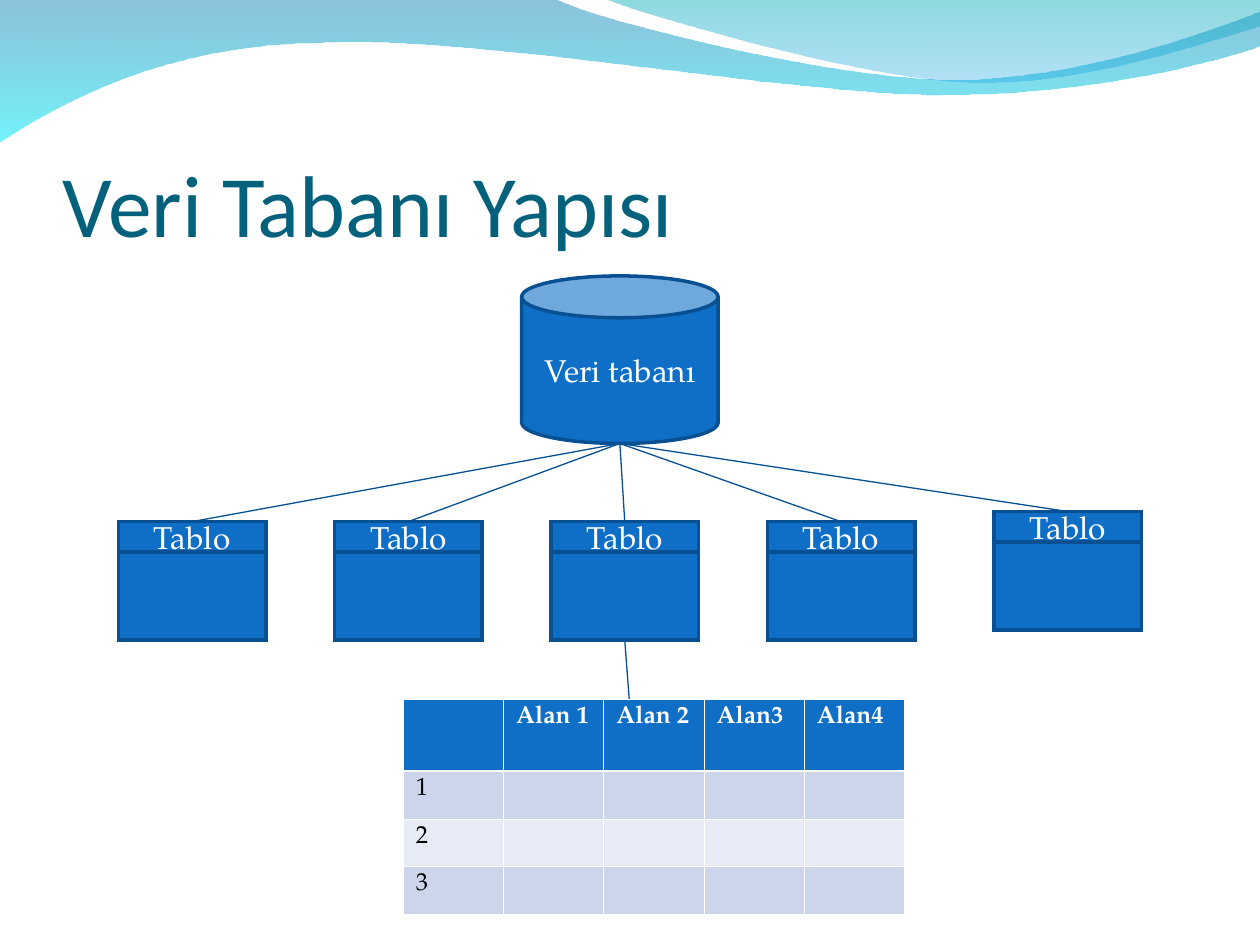
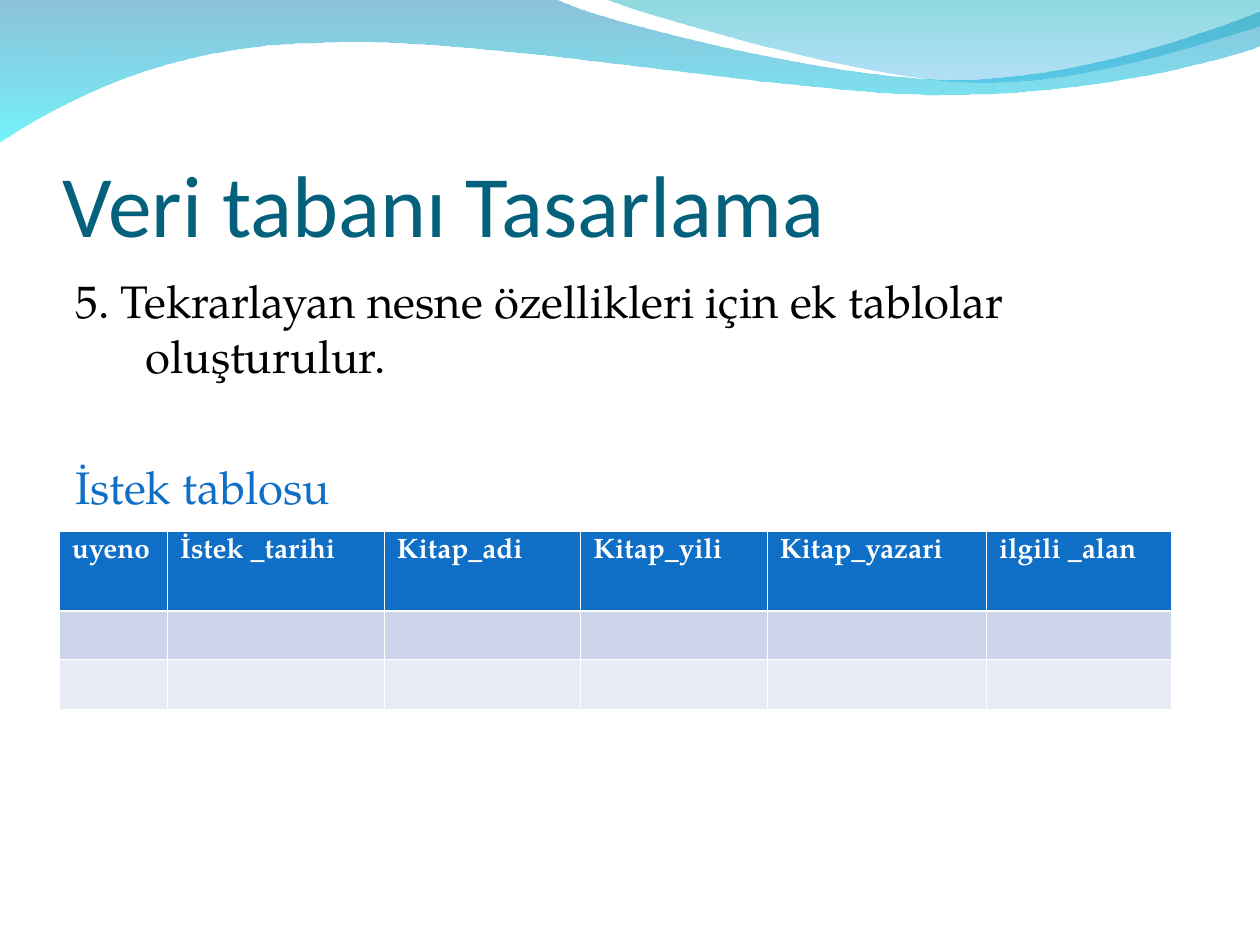
"""Build two slides on database structure and database design."""
from dataclasses import dataclass
from typing import Any

from lxml import etree
from pptx import Presentation
from pptx.dml.color import RGBColor
from pptx.enum.shapes import MSO_CONNECTOR, MSO_SHAPE
from pptx.enum.text import MSO_ANCHOR, PP_ALIGN
from pptx.oxml.ns import qn
from pptx.util import Inches, Pt

CAN = MSO_SHAPE.CAN
PROCESS = MSO_SHAPE.FLOWCHART_PROCESS
STRAIGHT = MSO_CONNECTOR.STRAIGHT
MIDDLE = MSO_ANCHOR.MIDDLE
BOTTOM = MSO_ANCHOR.BOTTOM
CENTER = PP_ALIGN.CENTER

COLORS = {
    "title": "04617B",
    "blue": "0F6FC6",
    "outline": "085091",
    "link": "065093",
    "white": "FFFFFF",
    "black": "000000",
    "band_dark": "CCD5EA",
    "band_light": "E7EBF5",
    "wave_top": "0079AF",
    "wave_bottom": "00EBF8",
    "crest_top": "00ADB6",
    "crest_bottom": "009BE5",
}
SERIF = "TeX Gyre Pagella"
TITLE_FONT = {"name": "Calibri", "size": Pt(50)}
BODY_FONT = {"name": SERIF, "size": Pt(26)}
SHAPE_FONT = {"name": SERIF, "size": Pt(18)}
TITLE_FRAME = {"word_wrap": True, "vertical_anchor": BOTTOM, "margin_left": 0,
               "margin_top": Inches(0.05), "margin_right": 0, "margin_bottom": 0}
THIN, THICK = 0.45, 1.47

Point = tuple[float, float]


@dataclass(frozen=True)
class Place:
    left: float
    top: float
    width: float
    height: float

    def lengths(self) -> list[int]:
        return [Inches(value) for value in (self.left, self.top, self.width, self.height)]

    @property
    def middle(self) -> float:
        return self.left + self.width / 2

    @property
    def bottom(self) -> float:
        return self.top + self.height


@dataclass(frozen=True)
class Wave:
    segments: list[list[Point]]
    stops: list[tuple[str, int]]


@dataclass(frozen=True)
class Grid:
    left: float
    top: float
    columns: list[float]
    rows: list[float]
    cells: list[list[str]]
    size: int


WAVES = [
    Wave([[(0, -0.01)], [(4.4, -0.01)],
          [(4.76, 0.17), (6.64, 0.63), (7.58, 0.63)],
          [(8.53, 0.63), (9.58, 0.26), (10, 0.09)],
          [(10.01, 0.36)],
          [(9.83, 0.44), (8.7, 0.76), (7.46, 0.75)],
          [(6.22, 0.75), (3.82, 0.28), (2.57, 0.34)],
          [(1.29, 0.35), (0.46, 0.83), (-0.01, 1.13)]],
         [("wave_top", 45), ("wave_bottom", 55)]),
    Wave([[(4.79, -0.01)],
          [(5.09, 0.11), (6.82, 0.62), (7.69, 0.65)],
          [(8.56, 0.69), (9.61, 0.32), (10, 0.21)],
          [(10, 0)]],
         [("crest_top", 45), ("crest_bottom", 30)]),
]
TITLE = Place(0.5, 0.77, 9, 1.25)
BODY = Place(0.5, 2.12, 9, 4.8)
DATABASE = Place(4.14, 2.19, 1.56, 1.33)
ENTITY_STEP = (6.09 - 0.94) / 3
ENTITIES = [Place(0.94 + ENTITY_STEP * index, 4.14, 1.17, 0.94) for index in range(4)]
ENTITIES.append(Place(7.89, 4.06, 1.17, 0.94))
HEADER_HEIGHT = 0.24
FIELDS = Grid(3.2, 5.55, [3.98 / 5] * 5, [0.57] + [0.38] * 3,
              [["", "Alan 1", "Alan 2", "Alan3", "Alan4"],
               *([number, "", "", "", ""] for number in "123")], 14)
REQUESTS = Grid(0.47, 4.22, [0.86, 1.72, 1.56, 1.48, 1.74, 1.47], [0.63, 0.38, 0.4],
                [["uyeno", "İstek _tarihi", "Kitap_adi", "Kitap_yili",
                  "Kitap_yazari", "ilgili _alan"], [""] * 6, [""] * 6], 16)


def color(name: str) -> RGBColor:
    return RGBColor.from_string(COLORS[name])


def apply(target: Any, values: dict[str, Any]) -> None:
    for name, value in values.items():
        setattr(target, name, value)


def write(para: Any, text: str, font: dict[str, Any], ink: str) -> None:
    span = para.add_run()
    span.text = text
    apply(span.font, font)
    span.font.color.rgb = color(ink)


def bend(shape: Any, segments: list[list[Point]]) -> None:
    sides = iter(list(shape.element.iter(qn("a:lnTo"))))
    for segment in segments:
        lines = [next(sides) for _ in segment]
        if len(lines) == 1:
            continue
        curve = etree.Element(qn("a:cubicBezTo"))
        lines[0].addprevious(curve)
        for line in lines:
            curve.append(line[0])
            line.getparent().remove(line)


def draw_wave(page: Any, wave: Wave) -> None:
    outline = [(Inches(x), Inches(y)) for segment in wave.segments for x, y in segment]
    builder = page.shapes.build_freeform(*outline[0])
    builder.add_line_segments(outline[1:], close=True)
    shape = builder.convert_to_shape()
    bend(shape, wave.segments[1:])
    shape.shadow.inherit = False
    shape.line.fill.background()
    shape.fill.gradient()
    shape.fill.gradient_angle = 270
    for stop, (name, _) in zip(shape.fill.gradient_stops, wave.stops):
        stop.color.rgb = color(name)
    for tint, (_, opacity) in zip(shape.element.iter(qn("a:srgbClr")), wave.stops):
        etree.SubElement(tint, qn("a:alpha"), val=str(opacity * 1000))


def add_page(deck: Any, title: str) -> Any:
    page = deck.slides.add_slide(deck.slide_layouts[6])
    for wave in WAVES:
        draw_wave(page, wave)
    frame = page.shapes.add_textbox(*TITLE.lengths()).text_frame
    apply(frame, TITLE_FRAME)
    write(frame.paragraphs[0], title, TITLE_FONT, "title")
    return page


def draw_box(shapes: Any, kind: Any, place: Place, text: str = "") -> None:
    box = shapes.add_shape(kind, *place.lengths())
    box.shadow.inherit = False
    box.fill.solid()
    box.fill.fore_color.rgb = color("blue")
    box.line.color.rgb = color("outline")
    box.line.width = Pt(2)
    etree.SubElement(box.element.spPr.find(qn("a:ln")), qn("a:miter"), lim="800000")
    if text:
        box.text_frame.vertical_anchor = MIDDLE
        para = box.text_frame.paragraphs[0]
        para.alignment = CENTER
        write(para, text, SHAPE_FONT, "white")


def draw_entity(page: Any, place: Place) -> None:
    group = page.shapes.add_group_shape()
    header = Place(place.left, place.top, place.width, HEADER_HEIGHT)
    fields = Place(place.left, header.bottom, place.width, place.height - HEADER_HEIGHT)
    draw_box(group.shapes, PROCESS, header, "Tablo")
    draw_box(group.shapes, PROCESS, fields)


def draw_link(page: Any, start: Point, end: Point) -> None:
    link = page.shapes.add_connector(STRAIGHT, *(Inches(value) for value in start + end))
    link.line.color.rgb = color("link")
    link.line.width = Pt(0.75)
    etree.SubElement(link.element.spPr, qn("a:effectLst"))


def draw_border(cell: Any, side: str, width: float) -> None:
    properties = cell._tc.get_or_add_tcPr()
    line = etree.SubElement(properties, qn(f"a:ln{side}"), w=str(int(Pt(width))))
    fill = etree.SubElement(line, qn("a:solidFill"))
    etree.SubElement(fill, qn("a:srgbClr"), val=COLORS["white"])


def draw_grid(page: Any, grid: Grid) -> None:
    place = Place(grid.left, grid.top, sum(grid.columns), sum(grid.rows))
    table = page.shapes.add_table(len(grid.rows), len(grid.columns), *place.lengths()).table
    table.horz_banding = False
    for column, width in zip(table.columns, grid.columns):
        column.width = Inches(width)
    for index, (row, height) in enumerate(zip(table.rows, grid.rows)):
        row.height = Inches(height)
        header = index == 0
        band = "blue" if header else "band_dark" if index % 2 else "band_light"
        font = {"name": SERIF, "size": Pt(grid.size), "bold": header}
        borders = {"L": THIN, "R": THIN, "T": THICK if index == 1 else THIN,
                   "B": THICK if header else THIN}
        for cell, text in zip(row.cells, grid.cells[index]):
            for side, width in borders.items():
                draw_border(cell, side, width)
            cell.fill.solid()
            cell.fill.fore_color.rgb = color(band)
            para = cell.text_frame.paragraphs[0]
            if text:
                write(para, text, font, "white" if header else "black")
            else:
                etree.SubElement(para._p, qn("a:endParaRPr"), sz=str(grid.size * 100))


def build_structure(deck: Any) -> None:
    page = add_page(deck, "Veri Tabanı Yapısı")
    draw_box(page.shapes, CAN, DATABASE, "Veri tabanı")
    for entity in ENTITIES:
        draw_entity(page, entity)
    for entity in ENTITIES:
        draw_link(page, (DATABASE.middle, DATABASE.bottom), (entity.middle, entity.top))
    center = ENTITIES[2]
    draw_link(page, (center.middle, center.bottom), (5, 5.63))
    draw_grid(page, FIELDS)


def build_design(deck: Any) -> None:
    page = add_page(deck, "Veri tabanı Tasarlama")
    frame = page.shapes.add_textbox(*BODY.lengths()).text_frame
    frame.word_wrap = True
    rule, caption = frame.paragraphs[0], frame.add_paragraph()
    for para in (rule, caption):
        properties = para._p.get_or_add_pPr()
        properties.set("marL", str(Inches(0.56)))
        properties.set("indent", str(-Inches(0.56)))
    caption.space_before = Pt(44)
    write(rule, "5. Tekrarlayan nesne özellikleri için ek tablolar oluşturulur.",
          BODY_FONT, "black")
    write(caption, "İstek tablosu", BODY_FONT, "blue")
    draw_grid(page, REQUESTS)


def main() -> None:
    deck = Presentation()
    apply(deck, {"slide_width": Inches(10), "slide_height": Inches(7.5)})
    build_structure(deck)
    build_design(deck)
    deck.save("out.pptx")


if __name__ == "__main__":
    main()
